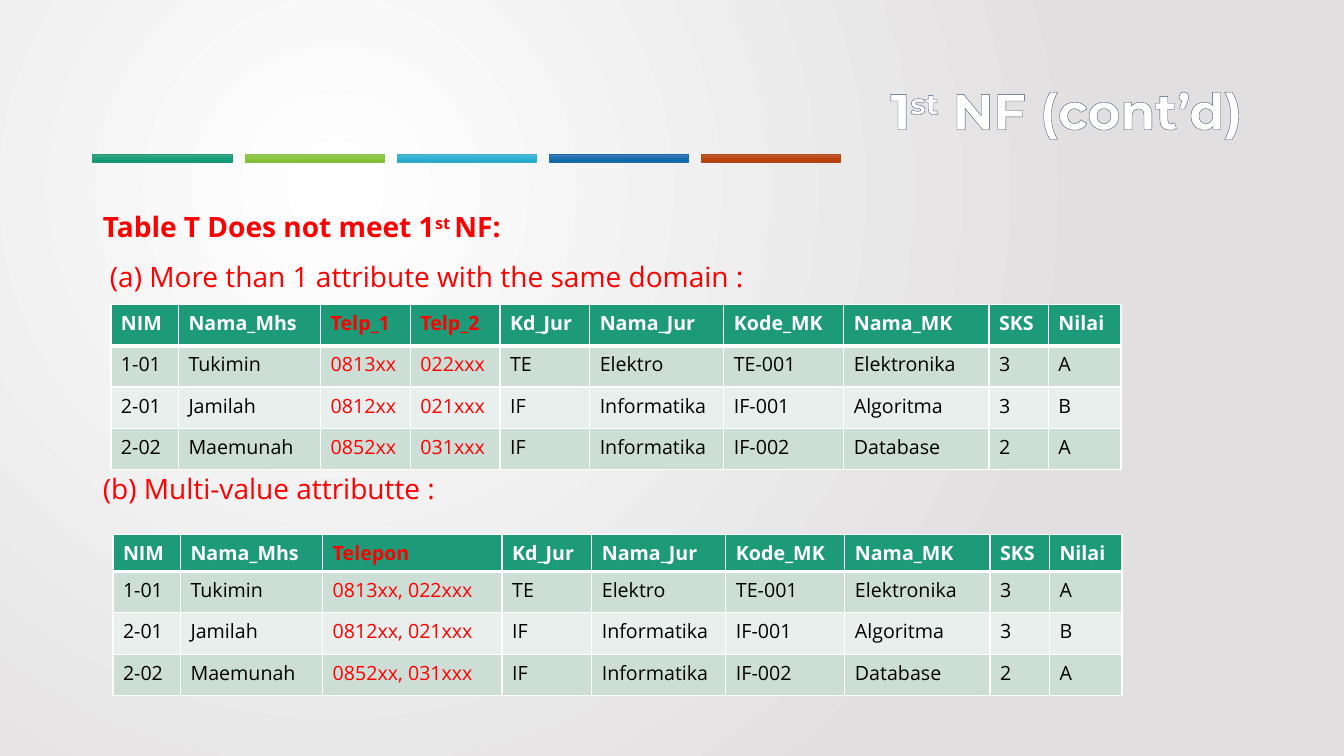
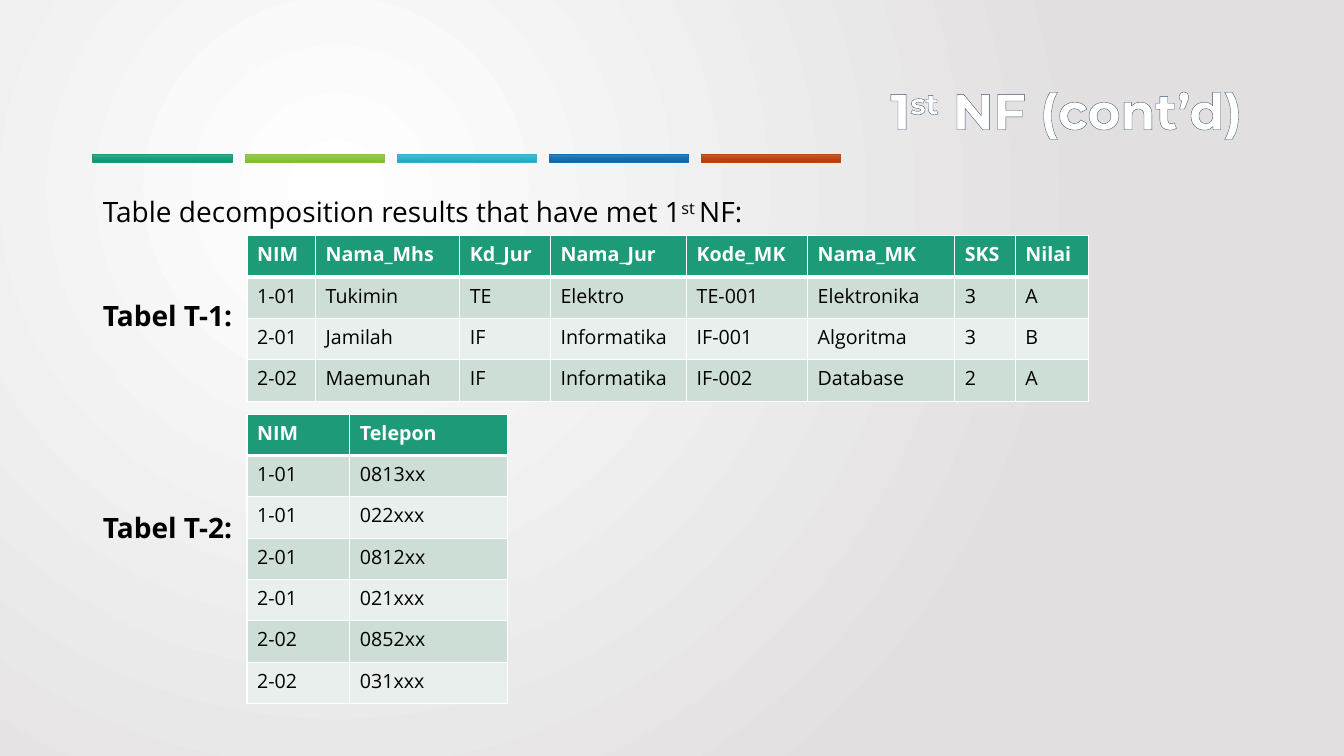
"""Build two slides on the first normal form with tables before and after decomposition."""
from lxml import etree
from pptx import Presentation
from pptx import util as u
from pptx.dml.color import RGBColor
from pptx.enum import shapes, text
from pptx.oxml import ns, parse_xml

COLORS = {"white": "FFFFFF", "black": "000000", "red": "FF0000", "edge": "E1DFDF",
          "outline": "3A5274", "header": "1D9A78", "odd": "CDDED6", "even": "E8EFEC"}
BODY_FONT, TITLE_FONT = "Open Sans", "Montserrat"
BANDS = [
    (("4EA788", "17A07B", "0F9470"), "1D9A78"),
    (("98C862", "8CC73F", "7DB831"), "8BC145"),
    (("59B8D4", "2EB3D6", "21A4C6"), "36AFCE"),
    (("4E80B5", "1670B0", "0D65A3"), "1D6FA9"),
    (("C2634D", "BF4611", "B13B08"), "B74919"),
]
TITLE = [("1", False), ("st", True), (" NF (cont’d)", False)]

FIELDS = ["NIM", "Nama_Mhs", "Telp_1", "Telp_2", "Kd_Jur", "Nama_Jur",
          "Kode_MK", "Nama_MK", "SKS", "Nilai"]
STUDENTS = [dict(zip(FIELDS, row)) for row in (
    ("1-01", "Tukimin", "0813xx", "022xxx", "TE", "Elektro", "TE-001", "Elektronika", "3", "A"),
    ("2-01", "Jamilah", "0812xx", "021xxx", "IF", "Informatika", "IF-001", "Algoritma", "3", "B"),
    ("2-02", "Maemunah", "0852xx", "031xxx", "IF", "Informatika", "IF-002", "Database", "2", "A"),
)]
PHONES = ("Telp_1", "Telp_2")
MERGED = [{**s, "Telepon": ", ".join(s[p] for p in PHONES)} for s in STUDENTS]
SPLIT = [{"NIM": s["NIM"], "Telepon": s[p]} for s in STUDENTS for p in PHONES]
COURSE_FIELDS = FIELDS[:2] + FIELDS[4:]
MERGED_FIELDS = FIELDS[:2] + ["Telepon"] + FIELDS[4:]

SLIDES = [
    {"top": 2, "color": "red",
     "lines": [
         {"runs": [("Table T Does not meet 1", False), ("st ", True), ("NF:", False)], "bold": True},
         {"runs": [("(a) More than 1 attribute with the same domain :", False)],
          "before": 8.8, "left": 0.32},
         {"runs": [("(b) Multi-value attributte :", False)], "before": 125},
     ],
     "tables": [
         {"at": (1.1, 3.02), "fields": FIELDS, "rows": STUDENTS, "red": PHONES, "head": 0.41,
          "widths": [0.67, 1.41, 0.89, 0.89, 0.89, 1.33, 1.19, 1.44, 0.59, 0.72]},
         {"at": (1.12, 5.3), "fields": MERGED_FIELDS, "rows": MERGED, "red": ("Telepon",),
          "head": 0.37, "widths": [0.67, 1.41, 1.78, 0.89, 1.33, 1.18, 1.44, 0.59, 0.72]},
     ]},
    {"top": 1.85, "color": "black",
     "lines": [
         {"runs": [("Table decomposition results that have met 1", False), ("st ", True),
                   ("NF:", False)]},
         {"runs": [("Tabel T-1:", False)], "before": 47.5, "bold": True},
         {"runs": [("Tabel T-2:", False)], "before": 125, "bold": True},
     ],
     "tables": [
         {"at": (2.45, 2.34), "fields": COURSE_FIELDS, "rows": STUDENTS, "red": (), "head": 0.41,
          "widths": [0.68, 1.43, 0.9, 1.35, 1.2, 1.46, 0.6, 0.73]},
         {"at": (2.45, 4.11), "fields": ["NIM", "Telepon"], "rows": SPLIT, "red": (),
          "head": 0.41, "widths": [1.02, 1.56]},
     ]},
]


def rgb(value):
    return RGBColor.from_string(value)


def place(item, left, top, width, height):
    item.left, item.top = u.Inches(left), u.Inches(top)
    item.width, item.height = u.Inches(width), u.Inches(height)


def add_span(para, words, size, font, color, bold=False, raised=False):
    span = para.add_run()
    span.text = words
    span.font.size, span.font.name, span.font.bold = u.Pt(size), font, bold
    span.font.color.rgb = rgb(COLORS[color])
    if raised:
        span.font._element.set("baseline", "30000")
    return span


def line_xml(tag, color, points):
    return parse_xml(f'<a:{tag} {ns.nsdecls("a")} w="{int(u.Pt(points))}"><a:solidFill>'
                     f'<a:srgbClr val="{color}"/></a:solidFill></a:{tag}>')


def set_gradient(fill, element, colors, shade):
    fill.gradient()
    old = element.find(".//" + ns.qn("a:gradFill"))
    step = 100000 // (len(colors) - 1)
    stops = "".join(f'<a:gs pos="{i * step}"><a:srgbClr val="{color}"/></a:gs>'
                    for i, color in enumerate(colors))
    old.getparent().replace(old, parse_xml(
        f'<a:gradFill {ns.nsdecls("a")} rotWithShape="1"><a:gsLst>{stops}</a:gsLst>{shade}</a:gradFill>'))


def style_master(master, slide):
    glow = ('<a:path path="circle"><a:fillToRect l="50000" t="50000" '
            'r="100000" b="100000"/></a:path>')
    set_gradient(master.background.fill, master.element, (COLORS["white"], COLORS["edge"]), glow)
    tree = master.element.cSld.spTree
    for i, (colors, edge) in enumerate(BANDS):
        band = slide.shapes.add_shape(shapes.MSO_SHAPE.RECTANGLE, u.Inches(0.92 + 1.51 * i),
                                      u.Inches(1.53), u.Inches(1.38), u.Inches(0.08))
        band.shadow.inherit = False
        set_gradient(band.fill, band.element, colors, '<a:lin ang="5400000" scaled="0"/>')
        band.line.color.rgb, band.line.width = rgb(edge), u.Pt(0.5)
        band.name = f"Band {i + 1}"
        band.element.nvSpPr.cNvPr.set("id", str(20 + i))
        tree.insert(2 + i, band.element)


def write_title(title):
    place(title, 0.92, 0.4, 11.5, 1.45)
    title.text_frame.auto_size = text.MSO_AUTO_SIZE.NONE
    title.text_frame.vertical_anchor = text.MSO_ANCHOR.MIDDLE
    para = title.text_frame.paragraphs[0]
    para.alignment, para.line_spacing = text.PP_ALIGN.RIGHT, 0.9
    for words, raised in TITLE:
        span = add_span(para, words, 36, TITLE_FONT, "white", True, raised)
        span.font._element.insert(0, line_xml("ln", COLORS["outline"], 1))


def write_body(body, content):
    place(body, 0.92, content["top"], 11.5, 6.76 - content["top"])
    frame = body.text_frame
    frame.auto_size = text.MSO_AUTO_SIZE.NONE
    for i, line in enumerate(content["lines"]):
        para = frame.add_paragraph() if i else frame.paragraphs[0]
        props = para._p.get_or_add_pPr()
        props.set("marL", str(int(u.Inches(line.get("left", 0.25)))))
        props.set("indent", str(int(u.Inches(-0.25))))
        etree.SubElement(props, ns.qn("a:buNone"))
        para.line_spacing, para.space_before = 1.1, u.Pt(line.get("before", 0))
        for words, raised in line["runs"]:
            add_span(para, words, 20, BODY_FONT, content["color"], line.get("bold", False), raised)


def add_grid(slide, grid):
    fields, widths = grid["fields"], grid["widths"]
    heights = [grid["head"]] + [0.41] * len(grid["rows"])
    left, top = grid["at"]
    table = slide.shapes.add_table(len(heights), len(fields), u.Inches(left), u.Inches(top),
                                   u.Inches(sum(widths)), u.Inches(sum(heights))).table
    for column, width in zip(table.columns, widths):
        column.width = u.Inches(width)
    records = [dict(zip(fields, fields))] + grid["rows"]
    for r, record in enumerate(records):
        table.rows[r].height = u.Inches(heights[r])
        shade = "header" if r == 0 else "odd" if r % 2 else "even"
        for c, field in enumerate(fields):
            cell = table.cell(r, c)
            color = "red" if field in grid["red"] else "black" if r else "white"
            add_span(cell.text_frame.paragraphs[0], record[field], 14, BODY_FONT, color, r == 0)
            cell.fill.solid()
            cell.fill.fore_color.rgb = rgb(COLORS[shade])
            thick = {"lnT": 3 if r == 1 else 1, "lnB": 1 if r else 3}
            for i, side in enumerate(("lnL", "lnR", "lnT", "lnB")):
                cell._tc.tcPr.insert(i, line_xml(side, COLORS["white"], thick.get(side, 1)))


def main():
    deck = Presentation()
    deck.slide_width, deck.slide_height = u.Inches(13.33), u.Inches(7.5)
    for i, content in enumerate(SLIDES):
        page = deck.slides.add_slide(deck.slide_layouts[1])
        if i == 0:
            style_master(deck.slide_master, page)
        write_title(page.shapes.title)
        write_body(page.placeholders[1], content)
        for grid in content["tables"]:
            add_grid(page, grid)
    deck.save("out.pptx")


if __name__ == "__main__":
    main()
